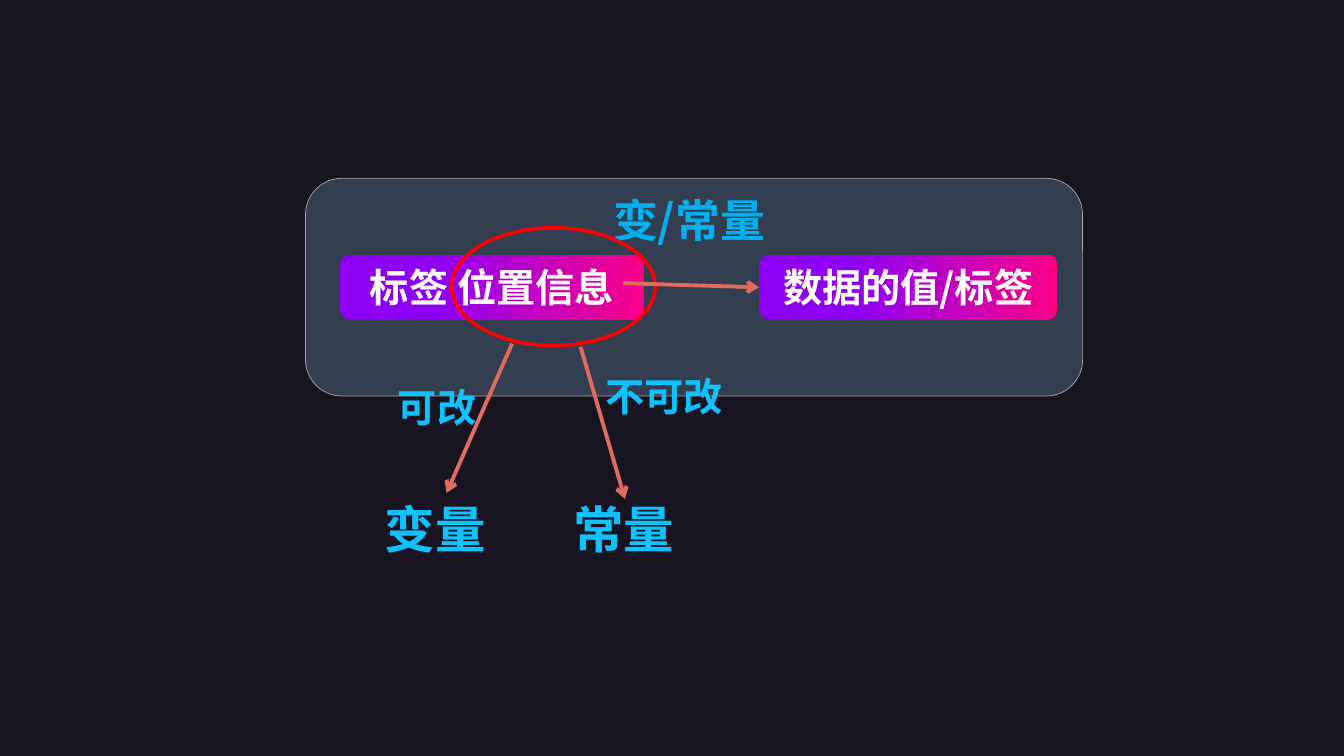
"""Build a slide on how a label points to a value, as a variable or a constant."""
from lxml.etree import SubElement
from pptx import Presentation
from pptx.dml.color import RGBColor
from pptx.enum.shapes import MSO_CONNECTOR as Connector, MSO_SHAPE as Shape
from pptx.enum.text import MSO_ANCHOR as Anchor, PP_ALIGN as Align
from pptx.oxml.ns import qn
from pptx.util import Pt

FONT = "Noto Sans CJK SC"
COLORS = {
    "background": "191422", "panel": "333F50", "panel_line": "A5A5A5",
    "heading": "00B0F0", "label": "0DC3FF", "box_text": "FFFFFF",
    "violet": "8E00F4", "pink": "FA0087", "arrow": "E06C60", "ring": "FF0000",
}
PANEL = ("变/常量", (218.2, 127.4, 555.1, 155.5))
BOXES = [
    ("数据的值/标签", (542.2, 182.2, 213.1, 46.1)),
    ("标签 位置信息", (242.6, 182.2, 217.4, 46.1)),
]
RING = (322.6, 162.7, 145.4, 84.2)
ARROWS = [
    (445, 202.3, 542.2, 205.2),
    (365.8, 245.5, 319, 352.1),
    (414.7, 247.7, 446.4, 356.4),
]
LABELS = [
    ("可改", 28, (277.2, 270, 95.8, 41)),
    ("不可改", 28, (425.5, 262.1, 120.2, 41)),
    ("变量", 36, (267.8, 352.1, 124.6, 51.1)),
    ("常量", 36, (402.5, 352.1, 124.6, 51.1)),
]


def color(name):
    return RGBColor.from_string(COLORS[name])


def points(values):
    return [Pt(value) for value in values]


def write(shape, text, size, color_name, align):
    frame = shape.text_frame
    frame.word_wrap = True
    paragraph = frame.paragraphs[0]
    paragraph.alignment = align
    run = paragraph.add_run()
    run.text = text
    font = run.font
    font.name, font.size, font.bold = FONT, Pt(size), True
    font.color.rgb = color(color_name)
    SubElement(font._element, qn("a:ea"), typeface=FONT)
    return frame


def add_shape(kind, place):
    shape = slide.shapes.add_shape(kind, *points(place))
    shape.shadow.inherit = False
    return shape


def set_line(shape, color_name, width):
    shape.line.color.rgb = color(color_name)
    shape.line.width = Pt(width)


def add_panel(text, place):
    panel = add_shape(Shape.ROUNDED_RECTANGLE, place)
    panel.fill.solid()
    panel.fill.fore_color.rgb = color("panel")
    set_line(panel, "panel_line", 0.5)
    frame = write(panel, text, 32, "heading", Align.CENTER)
    frame.vertical_anchor = Anchor.MIDDLE
    frame.margin_left = frame.margin_top = 0
    frame.margin_bottom = Pt(96.5)


def add_box(text, place):
    box = add_shape(Shape.ROUNDED_RECTANGLE, place)
    box.line.fill.background()
    box.fill.gradient()
    box.fill.gradient_angle = 0
    stops = [("violet", 0.32), ("pink", 1)]
    for stop, (color_name, position) in zip(box.fill.gradient_stops, stops):
        stop.color.rgb = color(color_name)
        stop.position = position
    frame = write(box, text, 28, "box_text", Align.CENTER)
    frame.vertical_anchor = Anchor.MIDDLE


def add_arrow(ends):
    arrow = slide.shapes.add_connector(Connector.STRAIGHT, *points(ends))
    set_line(arrow, "arrow", 2.75)
    SubElement(arrow.line._get_or_add_ln(), qn("a:tailEnd"), type="arrow")
    SubElement(arrow._element.spPr, qn("a:effectLst"))


presentation = Presentation()
presentation.slide_width, presentation.slide_height = points((960, 540))
slide = presentation.slides.add_slide(presentation.slide_layouts[6])
slide.background.fill.solid()
slide.background.fill.fore_color.rgb = color("background")

add_panel(*PANEL)
for box_content in BOXES:
    add_box(*box_content)
ring = add_shape(Shape.OVAL, RING)
ring.fill.background()
set_line(ring, "ring", 2.5)
for arrow_ends in ARROWS:
    add_arrow(arrow_ends)
for label_text, label_size, label_place in LABELS:
    label = slide.shapes.add_textbox(*points(label_place))
    write(label, label_text, label_size, "label", Align.LEFT)

presentation.save("out.pptx")
